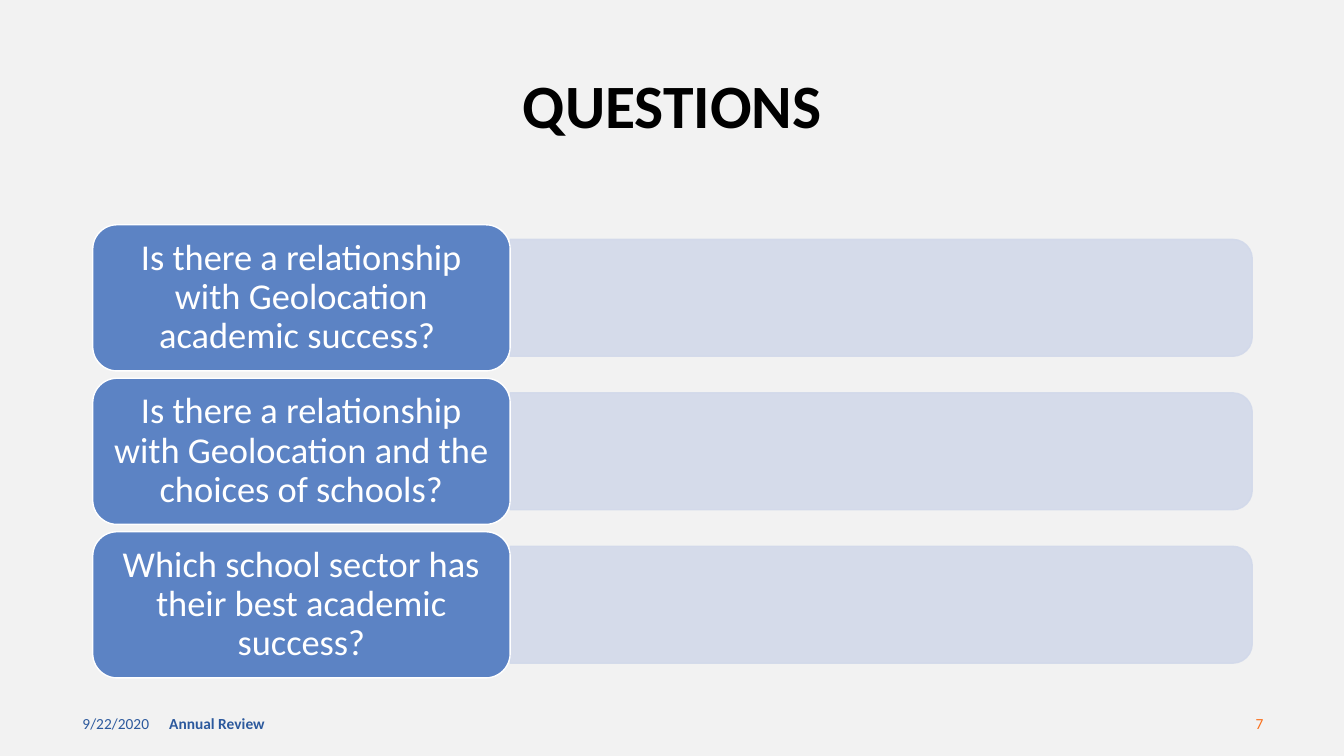
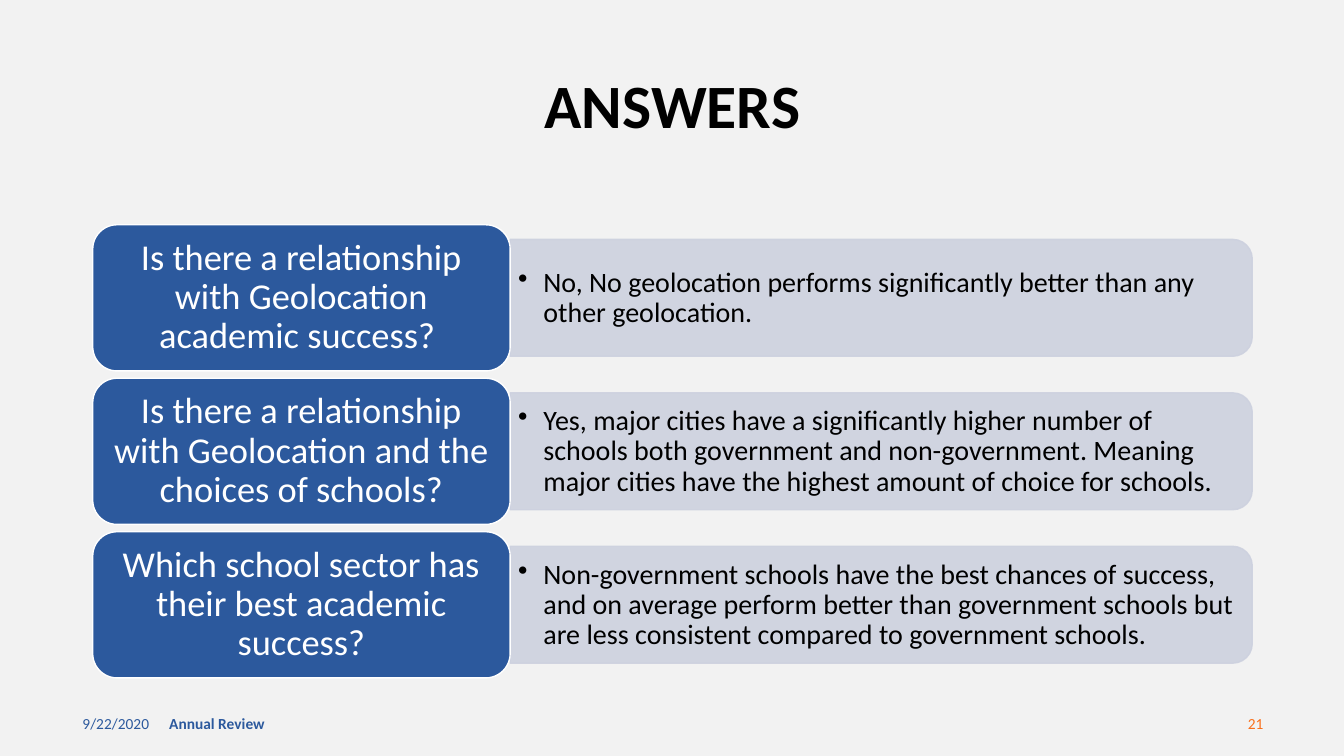
from pptx import Presentation
from pptx.dml.color import RGBColor
from pptx.enum.shapes import MSO_SHAPE
from pptx.enum.text import MSO_ANCHOR, PP_ALIGN
from pptx.oxml.ns import qn
from pptx.util import Inches, Pt
from lxml.etree import SubElement

# Colours
PAPER = RGBColor(0xF2, 0xF2, 0xF2)
WHITE = RGBColor(0xFF, 0xFF, 0xFF)
BLACK = RGBColor(0x00, 0x00, 0x00)
NAVY = RGBColor(0x2C, 0x59, 0x9D)
BLUE = RGBColor(0x5C, 0x83, 0xC4)
PALE = RGBColor(0xD2, 0xD9, 0xEA)
GREY = RGBColor(0xCD, 0xD1, 0xDF)
ORANGE = RGBColor(0xFA, 0x6F, 0x1A)

# Row grid, in inches
LEFT, TOP = 0.92, 2.23
CARD_W, CARD_H = 4.14, 1.45
BAR_W, BAR_H = 7.36, 0.8 * CARD_H
STEP = 1.05 * CARD_H

QUESTIONS = [
    "Is there a relationship with Geolocation academic success? ",
    "Is there a relationship with Geolocation and the choices of schools?",
    "Which school sector has their best academic success?",
]
ANSWERS = [
    "No, No geolocation performs significantly better than any other geolocation.",
    "Yes, major cities have a significantly higher number of schools both "
    "government and non-government. Meaning major cities have the highest "
    "amount of choice for schools.",
    "Non-government schools have the best chances of success, and on average "
    "perform better than government schools but are less consistent compared "
    "to government schools.",
]


class Deck:
    """Holds the shared style and the current slide."""

    font = "Calibri"

    def __init__(self):
        self.prs = Presentation()
        self.prs.slide_width = Inches(13.33)
        self.prs.slide_height = Inches(7.5)
        back = self.prs.slide_master.background.fill
        back.solid()
        back.fore_color.rgb = PAPER
        self.slide = None

    def page(self, title, number):
        self.slide = self.prs.slides.add_slide(self.prs.slide_layouts[6])
        # Footer
        self.label("9/22/2020", (0.72, 6.98, 3, 0.4), 11, NAVY)
        self.label("Annual Review", (1.58, 6.98, 4.5, 0.4), 11, NAVY, bold=True)
        self.label(number, (9.63, 6.98, 3, 0.4), 11, ORANGE, align=PP_ALIGN.RIGHT)
        # Title
        self.label(title, (LEFT, 0.69, 11.5, 0.77), 44, BLACK, bold=True,
                   align=PP_ALIGN.CENTER, space=0.9)

    def text(self, shape, words, size, color, bold=False, align=PP_ALIGN.LEFT,
             space=1.0, pad=(0.1, 0.05)):
        frame = shape.text_frame
        across, down = map(Inches, pad)
        look = {"word_wrap": True, "vertical_anchor": MSO_ANCHOR.MIDDLE,
                "margin_left": across, "margin_right": across,
                "margin_top": down, "margin_bottom": down}
        para = frame.paragraphs[0]
        run = para.add_run()
        run.text = words
        run.font.color.rgb = color
        for part, values in (
            (frame, look),
            (para, {"alignment": align, "line_spacing": space}),
            (run.font, {"name": self.font, "size": Pt(size), "bold": bold}),
        ):
            for name, value in values.items():
                setattr(part, name, value)
        return para

    def label(self, words, box, size, color, **style):
        shape = self.slide.shapes.add_textbox(*map(Inches, box))
        return self.text(shape, words, size, color, **style)

    def block(self, kind, box, fill, line):
        shape = self.slide.shapes.add_shape(kind, *map(Inches, box))
        shape.shadow.inherit = False
        shape.fill.solid()
        shape.fill.fore_color.rgb = fill
        shape.line.color.rgb = line
        shape.line.width = Pt(1)
        return shape

    def bar(self, mid, color):
        # Turned a quarter, so width and height swap about the centre
        x = LEFT + CARD_W + (BAR_W - BAR_H) / 2
        shape = self.block(MSO_SHAPE.ROUND_2_SAME_RECTANGLE,
                           (x, mid - BAR_W / 2, BAR_H, BAR_W), color, color)
        shape.rotation = 90
        for tint in shape._element.spPr.iter(qn("a:srgbClr")):
            SubElement(tint, qn("a:alpha"), val="90000")

    def card(self, words, mid, color):
        shape = self.block(MSO_SHAPE.ROUNDED_RECTANGLE,
                           (LEFT, mid - CARD_H / 2, CARD_W, CARD_H), color, WHITE)
        self.text(shape, words, 26, WHITE, align=PP_ALIGN.CENTER, space=0.9,
                  pad=(0.11, 0.05))

    def bullet(self, words, mid):
        para = self.label(words, (LEFT + CARD_W, mid - 0.52, 7.3, 1.05), 20, BLACK,
                          space=0.9, pad=(0.08, 0.04))
        props = para._p.get_or_add_pPr()
        props.set("marL", str(Inches(0.25)))
        props.set("indent", str(Inches(-0.25)))
        SubElement(props, qn("a:buChar"), char="•")

    def rows(self, card, bar, notes):
        for i, (words, note) in enumerate(zip(QUESTIONS, notes)):
            mid = TOP + CARD_H / 2 + i * STEP
            self.bar(mid, bar)
            if note:
                self.bullet(note, mid)
            self.card(words, mid, card)


def main():
    deck = Deck()
    # Questions alone
    deck.page("QUESTIONS", "7")
    deck.rows(BLUE, PALE, [None] * len(QUESTIONS))
    # Questions with answers
    deck.page("ANSWERS", "21")
    deck.rows(NAVY, GREY, ANSWERS)
    deck.prs.save("out.pptx")


if __name__ == "__main__":
    main()
